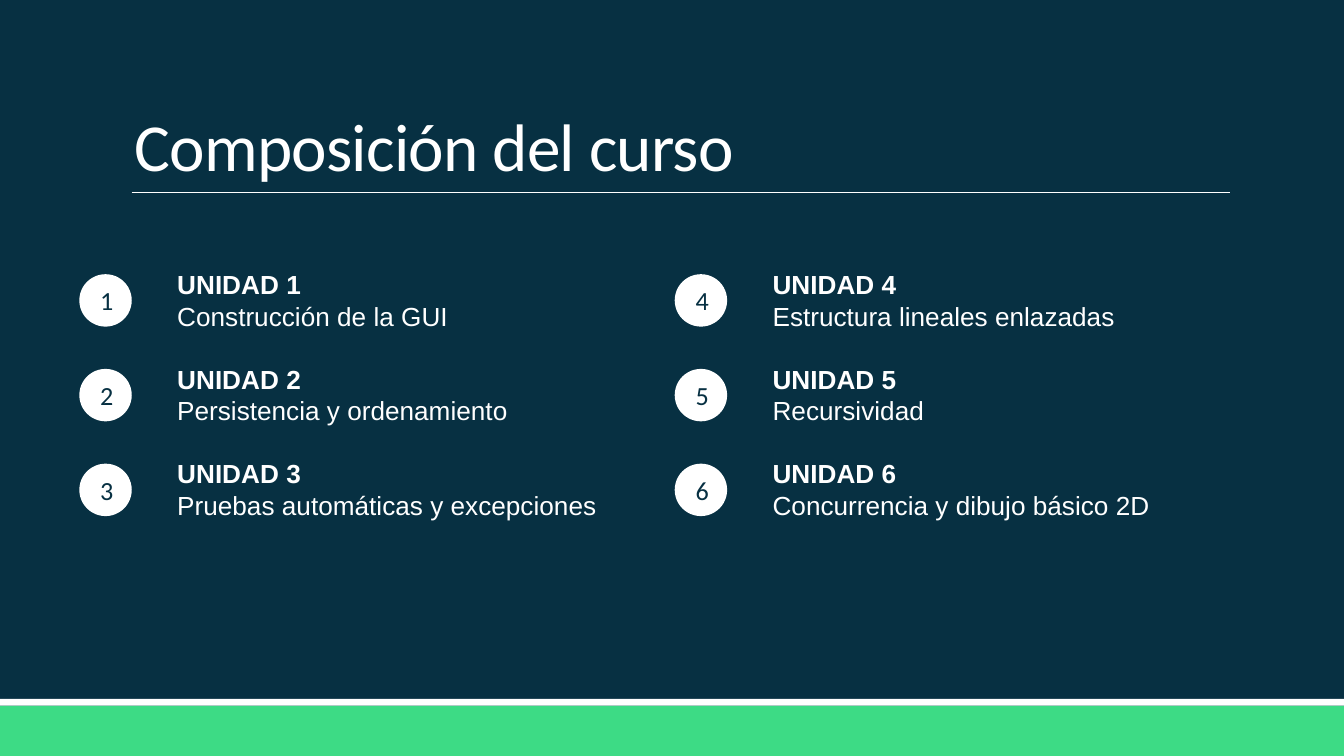
"""Build a slide that lists the six units of a course in two columns."""
from pptx import Presentation, util as u
from pptx.dml.color import RGBColor
from pptx.enum import shapes, text
from pptx.oxml.ns import qn
from lxml import etree

HUES = {"navy": "073042", "green": "3DDB85", "white": "FFFFFF"}
UNITS = [
    "Construcción de la GUI",
    "Persistencia y ordenamiento",
    "Pruebas automáticas y excepciones",
    "Estructura lineales enlazadas",
    "Recursividad",
    "Concurrencia y dibujo básico 2D",
]
ROWS = 3
LEFT, TOP = 0.59, 2.04
COL, ROW = 4.43, 0.705
DOT = 0.39


def draw(kind, x, y, w, h, hue):
    item = slide.shapes.add_shape(kind, u.Inches(x), u.Inches(y), u.Inches(w), u.Inches(h))
    item.shadow.inherit = False
    item.fill.solid()
    item.fill.fore_color.rgb = RGBColor.from_string(HUES[hue])
    item.line.fill.background()
    return item


def style(para, face, size, hue, bold=False):
    for run in para.runs:
        run.font.name = face
        run.font.size = u.Pt(size)
        run.font.bold = bold
        run.font.color.rgb = RGBColor.from_string(HUES[hue])


deck = Presentation()
deck.slide_width, deck.slide_height = u.Inches(10), u.Inches(5.625)
slide = deck.slides.add_slide(deck.slide_layouts[5])
slide.background.fill.solid()
slide.background.fill.fore_color.rgb = RGBColor.from_string(HUES["navy"])

draw(shapes.MSO_SHAPE.RECTANGLE, 0, 5.25, 10, 0.375, "green")
draw(shapes.MSO_SHAPE.RECTANGLE, 0, 5.2, 10, 0.05, "white")

rule = slide.shapes.add_connector(
    shapes.MSO_CONNECTOR.STRAIGHT, u.Inches(0.98), u.Inches(1.43), u.Inches(9.15), u.Inches(1.43))
rule.line.color.rgb = RGBColor.from_string(HUES["white"])
rule.line.width = u.Pt(0.5)
etree.SubElement(rule._element.spPr, qn("a:effectLst"))

title = slide.shapes.title
title.left, title.top = u.Inches(0.9), u.Inches(0.24)
title.width, title.height = u.Inches(8.25), u.Inches(1.19)
frame = title.text_frame
frame.text = "Composición del curso"
frame.auto_size = text.MSO_AUTO_SIZE.NONE
frame.vertical_anchor = text.MSO_ANCHOR.BOTTOM
head = frame.paragraphs[0]
head.alignment = text.PP_ALIGN.LEFT
head.line_spacing = 0.85
style(head, "Calibri", 36, "white")
head.runs[0].font._element.set("spc", "-40")

for col, high in enumerate((2.22, 1.99)):
    left = LEFT + col * COL
    box = slide.shapes.add_textbox(
        u.Inches(left + 0.63), u.Inches(1.95), u.Inches(4.65), u.Inches(high))
    frame = box.text_frame
    frame.word_wrap = True
    first = col * ROWS
    names = UNITS[first:first + ROWS]
    frame.text = "\n".join(f"UNIDAD {n}\n{name}" for n, name in enumerate(names, first + 1))
    for i, para in enumerate(frame.paragraphs):
        style(para, "Arial", 14, "white", bold=i % 2 == 0)
        para.space_before = u.Pt(17 if i and i % 2 == 0 else 0)

    for row in range(ROWS):
        dot = draw(shapes.MSO_SHAPE.OVAL, left, TOP + row * ROW, DOT, DOT, "white")
        frame = dot.text_frame
        frame.text = str(first + row + 1)
        frame.vertical_anchor = text.MSO_ANCHOR.MIDDLE
        frame.paragraphs[0].alignment = text.PP_ALIGN.CENTER
        style(frame.paragraphs[0], "Calibri", 14, "navy")

deck.save("out.pptx")
